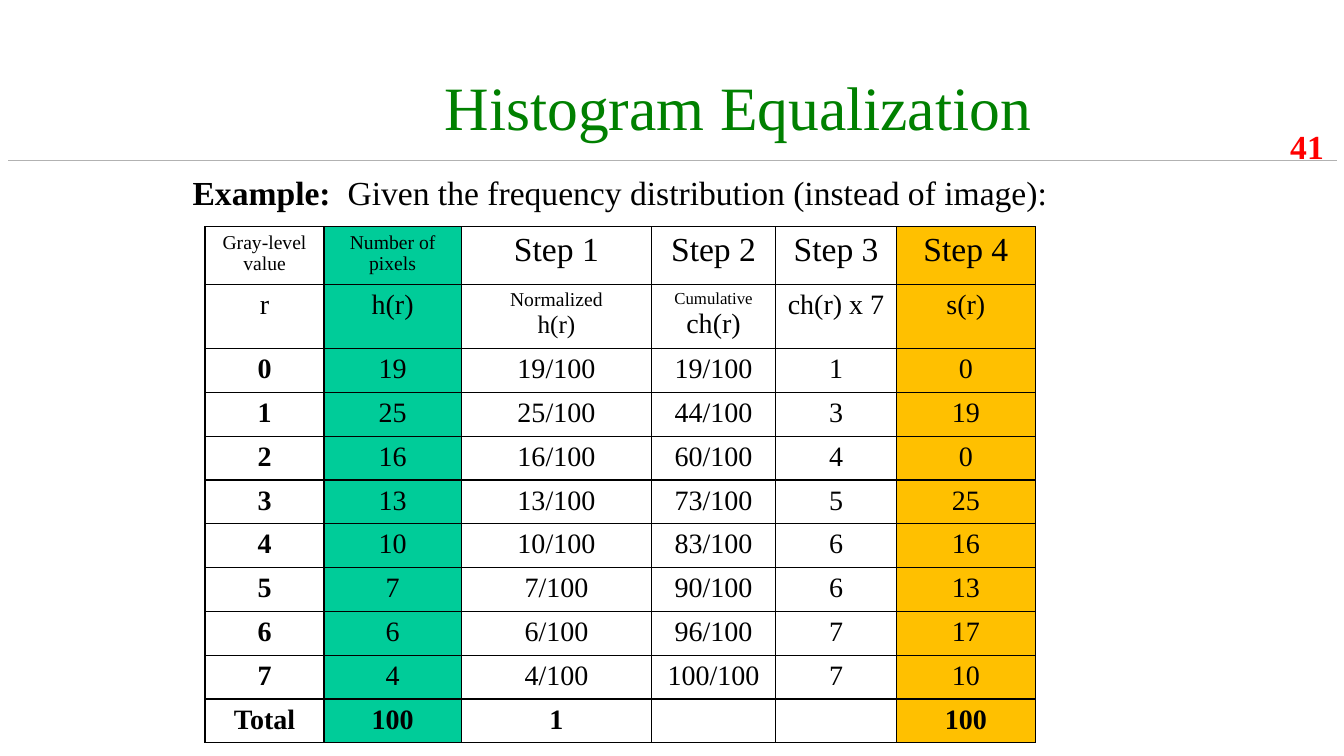
"""Builds the histogram equalization example slide."""
from itertools import accumulate

from lxml import etree
from pptx import Presentation
from pptx.dml.color import RGBColor
from pptx.enum.shapes import MSO_CONNECTOR
from pptx.enum.text import MSO_ANCHOR, PP_ALIGN
from pptx.oxml.ns import qn
from pptx.util import Pt

LEFT, CENTER = PP_ALIGN.LEFT, PP_ALIGN.CENTER
TOP, STRAIGHT = MSO_ANCHOR.TOP, MSO_CONNECTOR.STRAIGHT

BLACK = RGBColor(0, 0, 0)
WHITE = RGBColor(255, 255, 255)
GREEN = RGBColor(0, 128, 0)
RED = RGBColor(255, 0, 0)
GRAY = RGBColor(0xB2, 0xB2, 0xB2)
TEAL = RGBColor(0, 0xCC, 0x99)
AMBER = RGBColor(0xFF, 0xC0, 0)

PIXELS = [19, 25, 16, 13, 10, 7, 6, 4]
MAPPED = [0, 19, 0, 25, 16, 13, 17, 10]
WIDTHS = [85, 98, 136, 88.5, 86.5, 99]
HEIGHTS = [41.2, 45.8] + [31.3] * 9
FILLS = {1: TEAL, 5: AMBER}


class Page:
    """Holds the style and the current slide."""

    def __init__(self, deck, face="Times New Roman"):
        self.face = face
        self.slide = deck.slides.add_slide(deck.slide_layouts[5])

    def style(self, font, size, color=BLACK, bold=False):
        font.name, font.size, font.bold = self.face, Pt(size), bold
        font.color.rgb = color

    def place(self, shape, box):
        shape.left, shape.top, shape.width, shape.height = map(Pt, box)

    def line(self, para, text, size, color=BLACK, bold=False, align=CENTER):
        para.alignment = align
        para.text = text
        self.style(para.font, size, color, bold)

    def mix(self, para, parts, align=CENTER):
        para.alignment = align
        for text, size, bold in parts:
            run = para.add_run()
            run.text = text
            self.style(run.font, size, bold=bold)

    def title(self, text, box):
        shape = self.slide.shapes.title
        self.place(shape, box)
        shape.text_frame.vertical_anchor = TOP
        self.line(shape.text_frame.paragraphs[0], text, 44, GREEN)

    def label(self, box, wrap=True):
        frame = self.slide.shapes.add_textbox(*map(Pt, box)).text_frame
        frame.word_wrap = wrap
        return frame.paragraphs[0]

    def rule(self, left, right, top):
        rule = self.slide.shapes.add_connector(
            STRAIGHT, Pt(left), Pt(top), Pt(right), Pt(top))
        rule.line.color.rgb, rule.line.width = GRAY, Pt(0.25)
        etree.SubElement(rule._element.spPr, qn("a:effectLst"))

    def border(self, cell):
        props = cell._tc.get_or_add_tcPr()
        for spot, side in enumerate(("lnL", "lnR", "lnT", "lnB")):
            edge = etree.Element(qn("a:" + side), w=str(Pt(1)))
            fill = etree.SubElement(edge, qn("a:solidFill"))
            etree.SubElement(fill, qn("a:srgbClr"), val=str(BLACK))
            props.insert(spot, edge)

    def table(self, rows, left, top):
        box = left, top, sum(WIDTHS), sum(HEIGHTS)
        grid = self.slide.shapes.add_table(
            len(rows), len(WIDTHS), *map(Pt, box)).table
        grid.first_row = grid.horz_banding = False
        for col, width in zip(grid.columns, WIDTHS):
            col.width = Pt(width)
        for row, height in zip(grid.rows, HEIGHTS):
            row.height = Pt(height)
        for i, row in enumerate(rows):
            for j, value in enumerate(row):
                cell = grid.cell(i, j)
                cell.fill.solid()
                cell.fill.fore_color.rgb = FILLS.get(j, WHITE)
                self.border(cell)
                size = 20 if i else 14 if j < 2 else 24
                bold = i == len(rows) - 1 or (i > 1 and j == 0)
                if value:
                    self.line(cell.text_frame.paragraphs[0], value, size,
                              bold=bold)
        return grid


def build_rows():
    total = sum(PIXELS)
    rows = [["Gray-level value", "Number of pixels",
             "Step 1", "Step 2", "Step 3", "Step 4"],
            ["r", "h(r)", "", "", "ch(r) x 7", "s(r)"]]
    sums = accumulate(PIXELS)
    for level, (count, part, new) in enumerate(zip(PIXELS, sums, MAPPED)):
        rows.append([str(level), str(count), f"{count}/{total}",
                     f"{part}/{total}", str(round(part / total * 7)),
                     str(new)])
    rows.append(["Total", str(total), "1", "", "", str(sum(MAPPED))])
    return rows


def main():
    deck = Presentation()
    deck.slide_width, deck.slide_height = Pt(960), Pt(540)
    page = Page(deck)
    page.rule(6, 955, 114.5)
    page.line(page.label((914.5, 86.5, 42.5, 36), False), "41", 24, RED,
              True, LEFT)
    page.mix(page.label((130.5, 119.5, 681, 36)), [
        ("Example:  ", 24, True),
        ("Given the frequency distribution (instead of image):", 24, False),
    ], LEFT)
    page.title("Histogram Equalization", (223, 45.5, 609, 60))
    grid = page.table(build_rows(), 146.5, 162)
    norm = grid.cell(1, 2).text_frame
    page.line(norm.paragraphs[0], "Normalized", 14)
    page.line(norm.add_paragraph(), "h(r)", 18)
    page.mix(grid.cell(1, 3).text_frame.paragraphs[0],
             [("Cumulative ", 12, False), ("ch(r)", 20, False)])
    deck.save("out.pptx")


if __name__ == "__main__":
    main()
